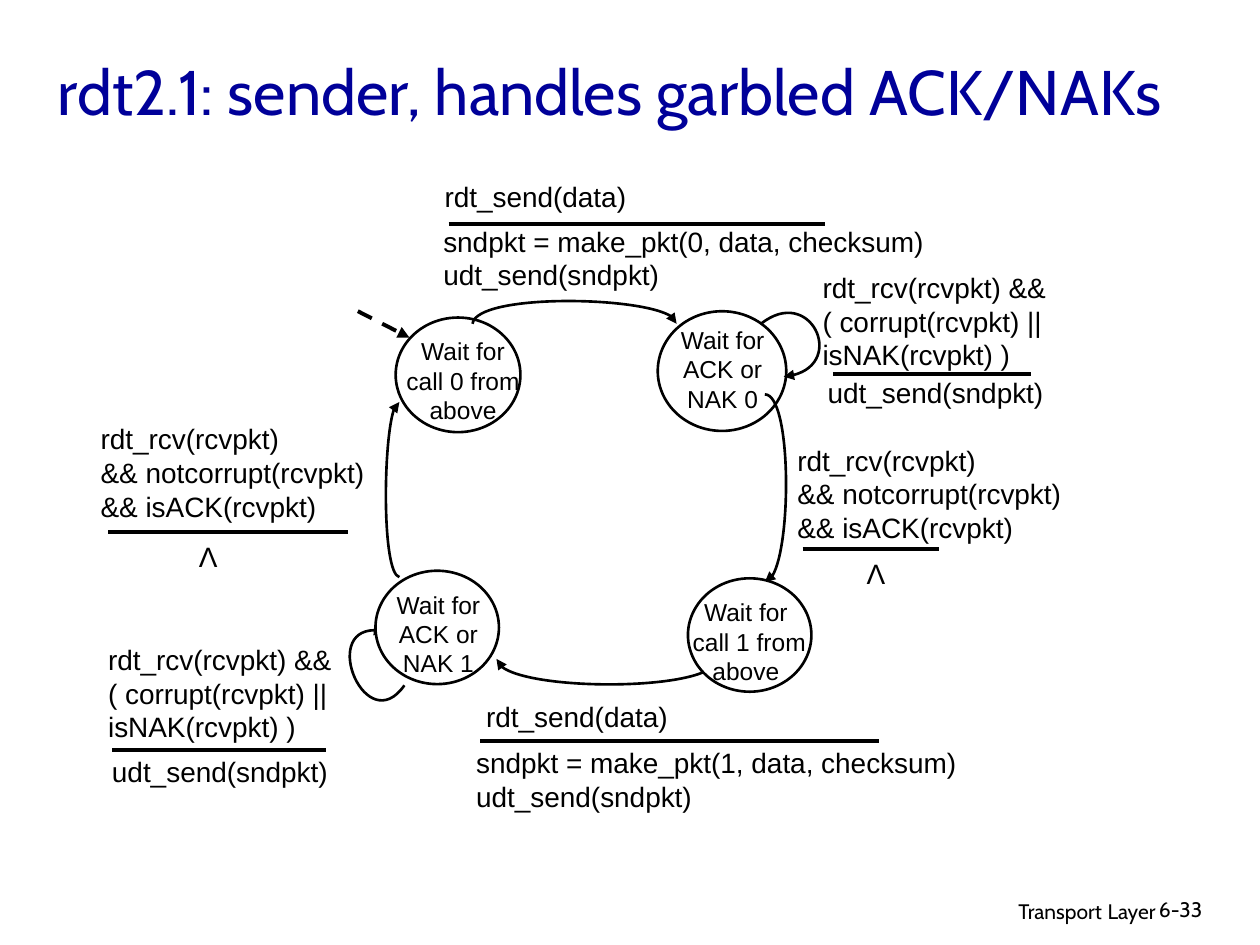
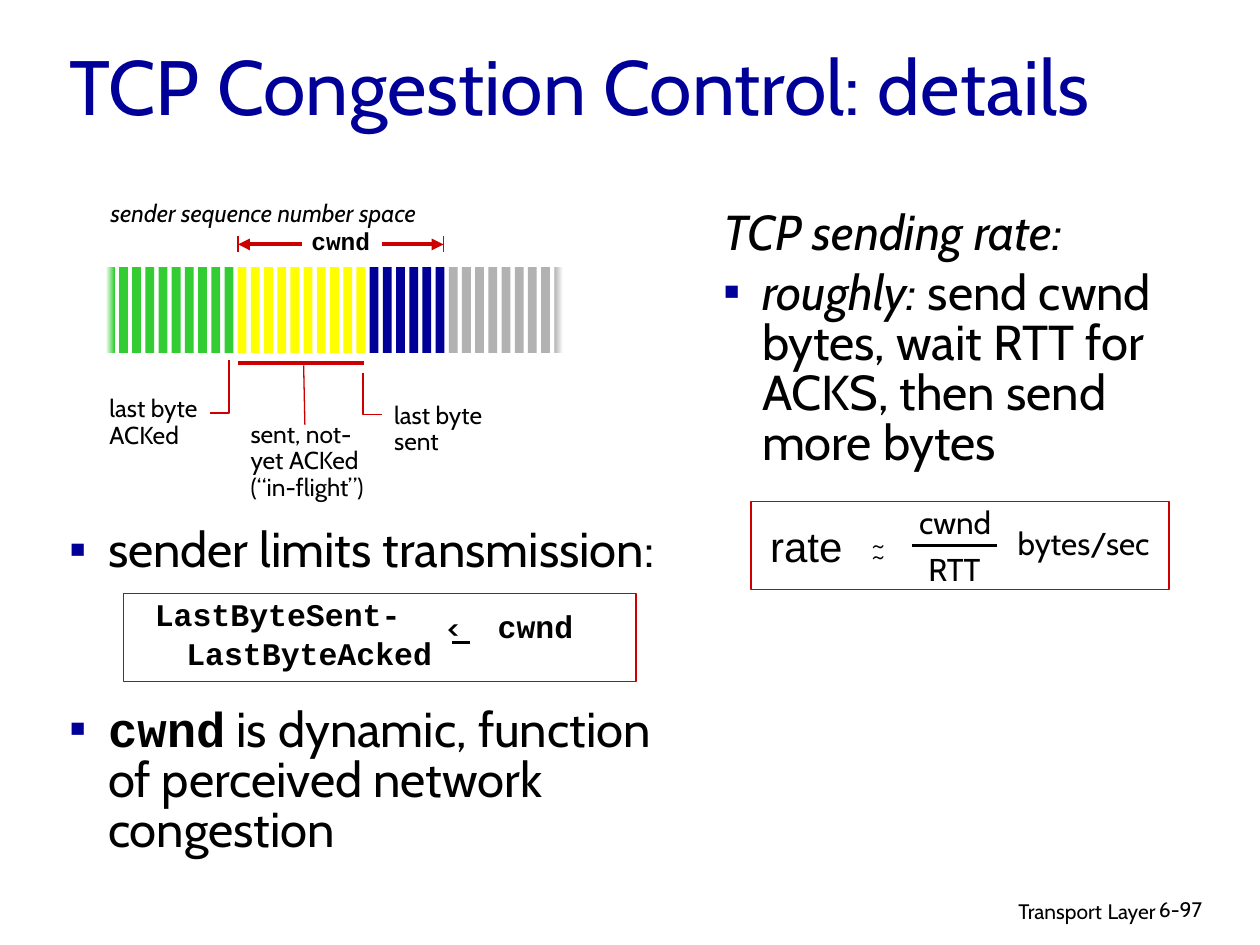
import lxml.etree
import pptx
import pptx.dml.color
import pptx.enum.dml
import pptx.enum.shapes
import pptx.enum.text
import pptx.oxml.ns
import pptx.util

Pt = pptx.util.Pt
qn = pptx.oxml.ns.qn
ALIGN = pptx.enum.text.PP_ALIGN
FIT = pptx.enum.text.MSO_AUTO_SIZE
COLS, ROWS = 100, 75
NAVY, RED, BLACK, WHITE = "000099", "CC0000", "000000", "FFFFFF"
GREEN, YELLOW, GRAY = "33CC33", "FFFF00", "B2B2B2"
SANS, BODY, MONO = "Arial", "Cabin", "Courier New"


def rgb(code):
    return pptx.dml.color.RGBColor.from_string(code)


class Deck:
    def __init__(self):
        self.prs = pptx.Presentation()
        self.prs.slide_width = pptx.util.Inches(10)
        self.prs.slide_height = pptx.util.Inches(7.5)
        self.s = None

    def point(self, col, row):
        return (round(self.prs.slide_width * col / COLS),
                round(self.prs.slide_height * row / ROWS))

    def box(self, left, top, width, height):
        return self.point(left, top) + self.point(width, height)

    def slide(self, title, box, size, number):
        self.s = self.prs.slides.add_slide(self.prs.slide_layouts[5])
        sp = self.s.shapes.title
        sp.left, sp.top, sp.width, sp.height = self.box(*box)
        tf = sp.text_frame
        tf.auto_size = FIT.NONE
        tf.vertical_anchor = pptx.enum.text.MSO_ANCHOR.MIDDLE
        self.fill_paragraph(tf.paragraphs[0], [title], size, BODY, color=NAVY)
        self.text((61, 70.5, 31.7, 3.1),
                  [["Transport", (" ", {"size": 14}), "Layer"]], 12, BODY, align=ALIGN.RIGHT)
        self.text((91, 70.7, 7.4, 3), [number], 12, BODY)

    def fill_paragraph(self, p, runs, size, font, color=BLACK, bold=False,
                       italic=False, align=ALIGN.LEFT, spacing=None):
        p.alignment = align
        if spacing:
            p.line_spacing = spacing
        for run in runs:
            words, own = run if isinstance(run, tuple) else (run, {})
            r = p.add_run()
            r.text = words
            r.font.size = Pt(own.get("size", size))
            r.font.name = own.get("font", font)
            r.font.bold = own.get("bold", bold)
            r.font.italic = own.get("italic", italic)
            r.font.color.rgb = rgb(color)

    def text(self, box, paragraphs, size, font=SANS, wrap=True, **style):
        sp = self.s.shapes.add_textbox(*self.box(*box))
        tf = sp.text_frame
        tf.word_wrap = wrap
        tf.auto_size = FIT.NONE if wrap else FIT.SHAPE_TO_FIT_TEXT
        for i, runs in enumerate(paragraphs):
            p = tf.add_paragraph() if i else tf.paragraphs[0]
            runs = [runs] if isinstance(runs, str) else runs
            self.fill_paragraph(p, runs, size, font, **style)
        return tf.paragraphs

    def label(self, box, words, size, font=BODY, **style):
        self.text(box, [words], size, font, wrap=False, align=ALIGN.CENTER, **style)

    def indent(self, p, margin, first, before):
        p.space_before = Pt(before)
        pPr = p._p.get_or_add_pPr()
        pPr.set("marL", str(self.point(margin, 0)[0]))
        pPr.set("indent", str(self.point(first, 0)[0]))
        return pPr

    def bullet(self, p, before=5.6):
        pPr = self.indent(p, 3.1, -3.1, before)
        clr = lxml.etree.SubElement(pPr, qn("a:buClr"))
        lxml.etree.SubElement(clr, qn("a:srgbClr"), val=NAVY)
        lxml.etree.SubElement(pPr, qn("a:buFont"), typeface=SANS)
        lxml.etree.SubElement(pPr, qn("a:buChar"), char="▪")

    def stroke(self, sp, color, width, arrow=None, dash=False):
        sp.line.color.rgb = rgb(color)
        sp.line.width = Pt(width)
        if dash:
            sp.line.dash_style = pptx.enum.dml.MSO_LINE.DASH
        if arrow:
            lxml.etree.SubElement(sp.line._get_or_add_ln(), qn("a:" + arrow), type="triangle")

    def shape(self, kind, box, fill=None, line=None, width=1):
        sp = self.s.shapes.add_shape(kind, *self.box(*box))
        sp.shadow.inherit = False
        if fill is None:
            sp.fill.background()
        elif isinstance(fill, tuple):
            sp.fill.gradient()
            sp.fill.gradient_angle = 0
            for stop, color in zip(sp.fill.gradient_stops, fill):
                stop.color.rgb = rgb(color)
        else:
            sp.fill.solid()
            sp.fill.fore_color.rgb = rgb(fill)
        if line:
            self.stroke(sp, line, width)
        else:
            sp.line.fill.background()

    def rect(self, box, **style):
        self.shape(pptx.enum.shapes.MSO_SHAPE.RECTANGLE, box, **style)

    def state(self, circle, box, lines):
        self.shape(pptx.enum.shapes.MSO_SHAPE.OVAL, circle, WHITE, BLACK, 1.5)
        self.text(box, lines, 14, align=ALIGN.CENTER)

    def line(self, start, end, color=BLACK, width=2.25, **ends):
        sp = self.s.shapes.add_connector(pptx.enum.shapes.MSO_CONNECTOR.STRAIGHT,
                                         *self.point(*start), *self.point(*end))
        self.stroke(sp, color, width, **ends)
        lxml.etree.SubElement(sp._element.spPr, qn("a:effectLst"))

    def polyline(self, points, color, width, arrow=None):
        start, *rest = [self.point(*pt) for pt in points]
        fb = self.s.shapes.build_freeform(*start)
        fb.add_line_segments(rest, close=False)
        sp = fb.convert_to_shape()
        sp.shadow.inherit = False
        sp.fill.background()
        self.stroke(sp, color, width, arrow)
        return sp

    def curve(self, points, arrow="tailEnd"):
        sp = self.polyline(points, BLACK, 1.5, arrow)
        segments = list(sp._element.iter(qn("a:lnTo")))
        bezier = lxml.etree.SubElement(segments[0].getparent(), qn("a:cubicBezTo"))
        for seg in segments:
            bezier.append(seg[0])
            seg.getparent().remove(seg)


def sender_slide(d):
    d.slide("rdt2.1: sender, handles garbled ACK/NAKs", (3.6, 1.8, 90.5, 10.7), 36, "6-33")

    d.state((31.4, 25.2, 9.9, 9.1), (30.8, 26.2, 11.9, 6.7), ["Wait for call 0 from above"])
    d.state((52.2, 24.7, 10.2, 9.5), (51.4, 25.3, 11.9, 7.1), ["Wait for ACK or NAK 0"])
    d.line((28.4, 24.7), (32.5, 26.8), arrow="tailEnd", dash=True)

    arcs = [
        ([(32.1, 54.4), (29.1, 58.7), (25, 49.1), (30.5, 50.1)], "tailEnd"),
        ([(37.5, 25.7), (37.8, 23.3), (53.7, 23.5), (53.7, 25.7)], "tailEnd"),
        ([(60.4, 25.7), (64.3, 22.6), (67.5, 29.4), (62.2, 29.9)], "tailEnd"),
        ([(31.7, 45.8), (30.3, 45.5), (30.4, 31.9), (31.7, 31.9)], "tailEnd"),
        ([(39.4, 52.3), (39.7, 55), (56.9, 54.8), (56.9, 52.3)], "headEnd"),
        ([(60.7, 46.2), (62.9, 45.9), (62.8, 31.3), (60.7, 31.3)], "headEnd"),
    ]
    for points, arrow in arcs:
        d.curve(points, arrow)

    d.state((54.6, 45.9, 9.8, 9), (53.1, 46.9, 12.2, 6.7), ["Wait for", " call 1 from above"])
    d.state((29.8, 45.3, 9.8, 9), (29.1, 46.3, 11.4, 6.7), ["Wait for ACK or NAK 1"])

    send = ["rdt_send(data)"]
    garbled = ["rdt_rcv(rcvpkt) &&", "( corrupt(rcvpkt) ||", "isNAK(rcvpkt) )"]
    acked = ["rdt_rcv(rcvpkt)", "&& notcorrupt(rcvpkt)", "&& isACK(rcvpkt)"]
    resend = ["udt_send(sndpkt)"]
    make = [[f"sndpkt = make_pkt({n}, data, checksum)", *resend] for n in (0, 1)]
    transitions = [
        (send, (34.3, 13.8, 23.1, 3.3), (35.6, 65.5, 17.8), make[0], (34.2, 17.3, 40.4, 4.4)),
        (garbled, (64.3, 21, 28, 6.2), (66.1, 81.8, 29.7), resend, (64.7, 29.3, 24.7, 4.4)),
        (acked, (62.3, 34.7, 32.8, 6.2), (63.7, 74.5, 43.6), ["Λ"], (67.8, 43.7, 3.5, 3.7)),
        (send, (37.6, 55, 26.1, 3.1), (38.1, 69.8, 58.8), make[1], (36.8, 58.7, 41.2, 4.4)),
        (garbled, (7.6, 50.5, 22, 6.2), (8.9, 25.9, 59.5), resend, (7.9, 59.4, 19.9, 3)),
        (acked, (7, 33, 23.1, 6.2), (8.6, 27.6, 42.2), ["Λ"], (14.8, 42.3, 3.5, 3.7)),
    ]
    for event, event_box, (left, right, row), action, action_box in transitions:
        d.text(event_box, event, 16)
        d.line((left, row), (right, row))
        d.text(action_box, action, 16)


def congestion_slide(d):
    d.slide("TCP Congestion Control: details", (4.5, 2.5, 85, 8.4), 44, "6-97")

    limits, dynamic = d.text(
        (4.5, 41.4, 49.6, 18.5),
        ["sender limits transmission:",
         [("cwnd", {"font": MONO, "bold": True}),
          " is dynamic, function of perceived network congestion"]],
        28, BODY, spacing=0.85)
    d.bullet(limits)
    d.bullet(dynamic, before=74)
    heading, roughly = d.text(
        (56.4, 16.2, 41.7, 26.8),
        [[("TCP sending rate:", {"italic": True})],
         [("roughly:", {"italic": True}),
          " send cwnd bytes, wait RTT for ACKS, then send more bytes"]],
        28, BODY, spacing=0.85)
    d.indent(heading, 3.1, -3.1, 5.6)
    d.bullet(roughly)

    fills = ([(WHITE, GREEN)] + [GREEN] * 9 + [YELLOW] * 10 + [NAVY] * 6
             + [GRAY] * 8 + [(GRAY, WHITE)])
    pitch = (44 - 8.4) / (len(fills) - 1)
    for i, fill in enumerate(fills):
        d.rect((8.4 + i * pitch, 21.2, 0.7, 6.8), fill=fill)

    d.line((18.9, 28.8), (28.9, 28.8), RED)
    d.polyline([(18.2, 28.6), (18.2, 32.8), (16.7, 32.8)], RED, 1)
    d.polyline([(28.8, 29.6), (28.8, 32.9), (30.3, 32.9)], RED, 1)
    d.line((24.1, 29), (24.2, 33.7), RED, 0.75)
    for inner, edge in ((30.3, 35.2), (24, 18.9)):
        d.line((inner, 19.4), (edge, 19.4), RED, arrow="tailEnd")
        d.line((edge, 18.7), (edge, 20), RED, 0.75)
    d.text((7.7, 31, 9.3, 5.2), ["last byte", "ACKed"], 14, BODY, wrap=False, spacing=0.9)
    d.text((18.9, 33, 11.7, 7.3), ["sent, not-yet ACKed", "(“in-flight”)"], 14, BODY, spacing=0.9)
    d.text((30.3, 31.5, 11.7, 5.2), ["last byte sent"], 14, BODY, spacing=0.9)
    d.text((7.8, 15.2, 29.8, 3.3), ["sender sequence number space"], 14, BODY,
           wrap=False, italic=True)
    d.label((23.7, 17.7, 6.7, 3.1), "cwnd", 14, MONO, bold=True, spacing=0.9)

    sent, last_acked = d.text((11.3, 47.2, 30.8, 6.7), ["LastByteSent-", "LastByteAcked"],
                              18, MONO, bold=True, spacing=0.85)
    d.indent(sent, 2.5, -2.5, 3.6)
    d.indent(last_acked, 2.5, 0, 3.6)
    d.label((34.1, 48, 3.8, 3.7), "<", 16, bold=True)
    d.line((35.9, 51), (37.3, 51), width=1.5)
    d.label((38.5, 47.7, 8, 4), "cwnd", 18, MONO, bold=True)
    d.rect((9.8, 47.1, 40.7, 7), line=RED)

    d.label((60.1, 40.8, 7.8, 5), "rate", 24, SANS)
    for row in (41, 41.9):
        d.label((64.6, row, 10.2, 4), "~", 18)
    d.label((71.9, 39.4, 7.8, 4), "cwnd", 18)
    d.line((72.4, 43.3), (79.1, 43.3), width=1.5)
    d.label((72.5, 43.2, 6.5, 4), "RTT", 18)
    d.label((79, 41.1, 14, 4), "bytes/sec", 18)
    d.rect((59.6, 39.8, 33.2, 7), line=RED)


def main():
    d = Deck()
    sender_slide(d)
    congestion_slide(d)
    d.prs.save("out.pptx")


if __name__ == "__main__":
    main()
